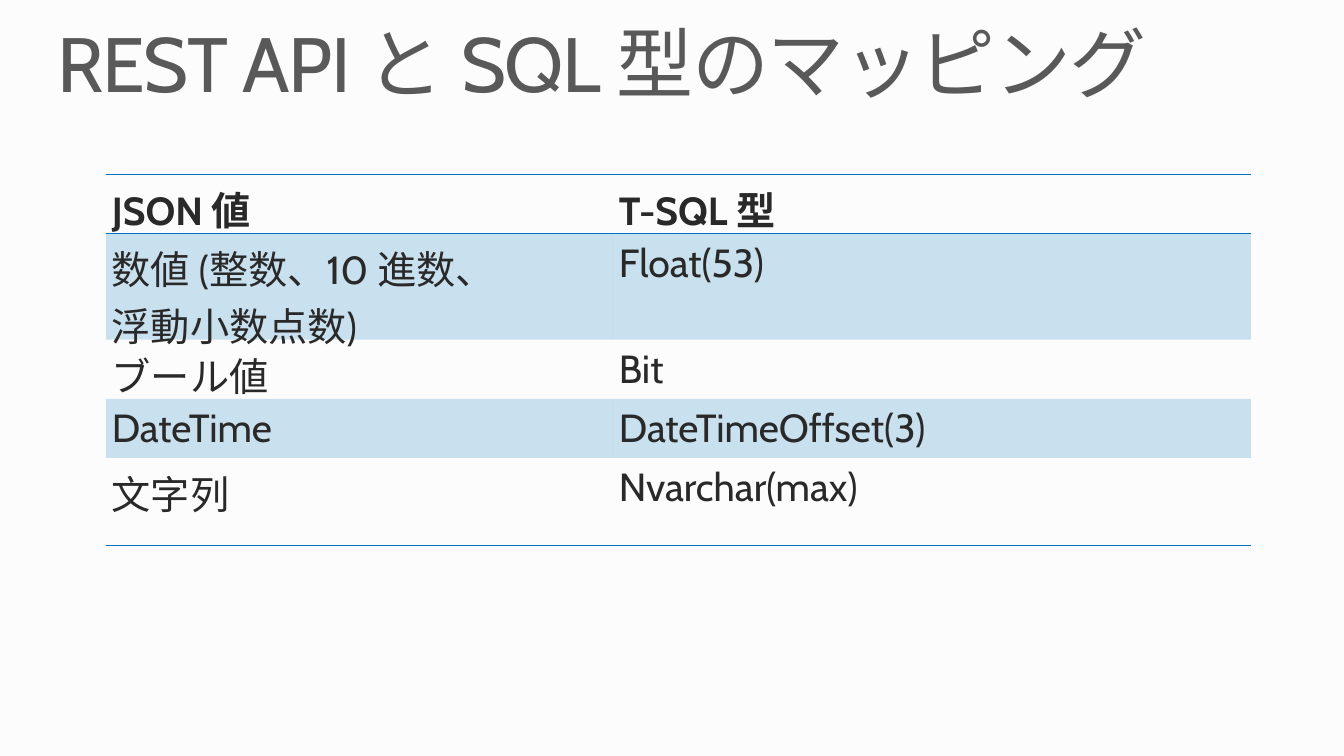
from pptx import Presentation
from pptx import util as u
from pptx.dml.color import RGBColor
from pptx.enum import text
from pptx.oxml.ns import qn
from lxml import etree

Pt = u.Pt
COLORS = {"bg": "FCFCFC", "title": "595959", "body": "292929", "accent": "0071BC"}
LATIN, CJK = "Cabin", "Noto Sans CJK JP"
PLAIN_STYLE = "{2D5ABB26-0587-4C30-8999-92F81FD0307C}"

TITLE = [("REST API ", LATIN), ("と", CJK), (" SQL ", LATIN), ("型のマッピング", CJK)]
# Each cell is a list of runs; None is a line break
ROWS = [
    ([("JSON ", LATIN), ("値", CJK)], [("T-SQL ", LATIN), ("型", CJK)]),
    ([("数値 (", LATIN), ("整数、", CJK), ("10 ", LATIN), ("進数、", CJK), None,
      ("浮動小数点数", CJK), (")", LATIN)], [("Float(53)", LATIN)]),
    ([("ブール値", CJK)], [("Bit", LATIN)]),
    ([("DateTime", LATIN)], [("DateTimeOffset(3)", LATIN)]),
    ([("文字列", CJK)], [("Nvarchar(max)", LATIN)]),
]
COL_WIDTHS = (362.2, 455.8)
ROW_HEIGHTS = (37.4, 36.7, 30.2, 37.4, 62.6)


def rgb(name):
    return RGBColor.from_string(COLORS[name])


def add_runs(p, runs, size, color, bold=False, spacing=None):
    for item in runs:
        if item is None:
            p.add_line_break()
            continue
        r = p.add_run()
        r.text, r.font.name = item
        r.font.size, r.font.bold = Pt(size), bold
        r.font.color.rgb = rgb(color)
        rPr = r.font._element
        etree.SubElement(rPr, qn("a:ea"), typeface=CJK)
        if spacing is not None:
            rPr.set("spc", str(spacing))


def add_title(s, left, top, width, height):
    sp = s.shapes.title
    sp.left, sp.top, sp.width, sp.height = map(Pt, (left, top, width, height))
    tf = sp.text_frame
    tf.margin_left = tf.margin_top = tf.margin_right = tf.margin_bottom = 0
    tf.word_wrap = True
    tf.auto_size = text.MSO_AUTO_SIZE.SHAPE_TO_FIT_TEXT
    tf.vertical_anchor = text.MSO_ANCHOR.MIDDLE
    p = tf.paragraphs[0]
    p.alignment, p.line_spacing = text.PP_ALIGN.LEFT, 0.9
    add_runs(p, TITLE, 55, "title", spacing=-100)


def set_border(cell, side):
    ln = etree.Element(qn("a:" + side), w=str(Pt(1)))
    fill = etree.SubElement(ln, qn("a:solidFill"))
    etree.SubElement(fill, qn("a:srgbClr"), val=COLORS["accent"])
    cell._tc.get_or_add_tcPr().append(ln)


def fill_cell(cell, shaded):
    if not shaded:
        cell.fill.background()
        return
    cell.fill.solid()
    cell.fill.fore_color.rgb = rgb("accent")
    clr = cell._tc.tcPr.find(".//" + qn("a:srgbClr"))
    etree.SubElement(clr, qn("a:alpha"), val="20000")


def add_type_table(s, left, top, width, height):
    frame = s.shapes.add_table(len(ROWS), len(COL_WIDTHS),
                               *map(Pt, (left, top, width, height)))
    table = frame.table
    table.first_row = table.horz_banding = False
    frame._element.find(".//" + qn("a:tableStyleId")).text = PLAIN_STYLE
    for col, w in zip(table.columns, COL_WIDTHS):
        col.width = Pt(w)
    for i, (row, h) in enumerate(zip(table.rows, ROW_HEIGHTS)):
        row.height = Pt(h)
        for cell, runs in zip(row.cells, ROWS[i]):
            cell.margin_left = cell.margin_right = Pt(4.3)
            cell.margin_top = cell.margin_bottom = Pt(4.3)
            add_runs(cell.text_frame.paragraphs[0], runs, 28, "body", bold=i == 0)
            # Rules around the header and under the last row
            if i == 0:
                set_border(cell, "lnT")
            if i in (0, len(ROWS) - 1):
                set_border(cell, "lnB")
            fill_cell(cell, shaded=i % 2 == 1)


def main():
    prs = Presentation()
    prs.slide_width, prs.slide_height = Pt(960), Pt(540)
    s = prs.slides.add_slide(prs.slide_layouts[5])
    s.background.fill.solid()
    s.background.fill.fore_color.rgb = rgb("bg")
    add_title(s, 41, 18, 877.7, 59.8)
    add_type_table(s, 75.6, 124.6, sum(COL_WIDTHS), sum(ROW_HEIGHTS))
    prs.save("out.pptx")


if __name__ == "__main__":
    main()
